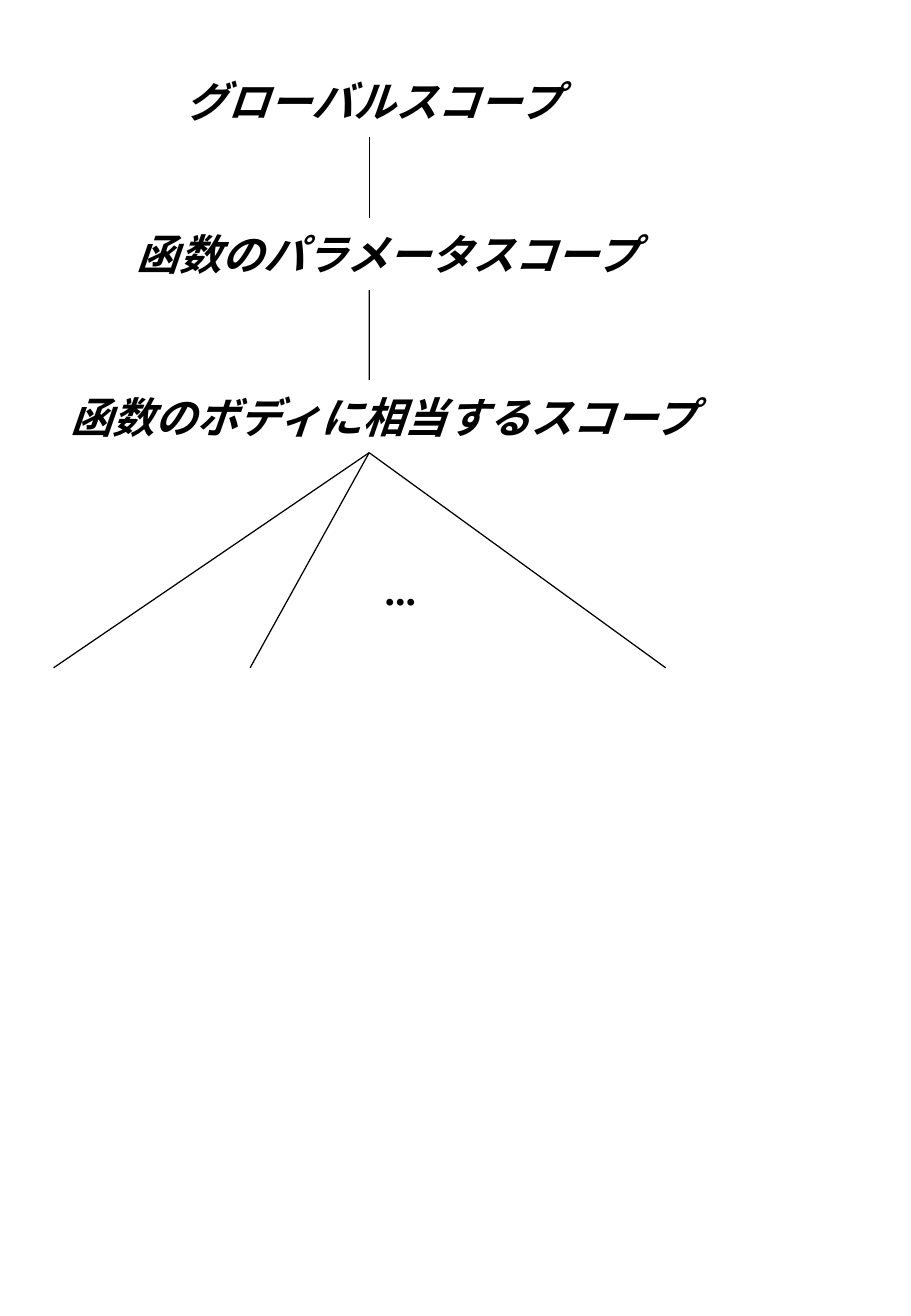
from pptx import Presentation
from pptx.dml.color import RGBColor
from pptx.enum.shapes import MSO_CONNECTOR, MSO_SHAPE
from pptx.enum.text import MSO_ANCHOR, PP_ALIGN
from pptx.util import Cm, Pt
from lxml.etree import SubElement
from pptx.oxml.ns import qn

COLORS = {"ink": "000000", "paper": "FFFFFF"}
AXIS = 7.72
BOX_HEIGHT = 1.52
BOTTOM, TOP = 2, 0
SCOPES = [
    ("グローバルスコープ", 1.35, 8.4),
    ("函数のパラメータスコープ", 4.55, 10.42),
    ("函数のボディに相当するスコープ", 7.95, 13.2),
]
BRANCH_ENDS = [1.12, 5.23, 13.92]
BRANCH_Y = 13.97


class ScopeDiagram:
    font = "Times New Roman"
    size = Pt(25)

    def __init__(self, slide):
        self.s = slide

    def color(self, name):
        return RGBColor.from_string(COLORS[name])

    def label(self, text, left, top, width):
        """Add a rounded box with bold italic text."""
        sp = self.s.shapes.add_shape(
            MSO_SHAPE.ROUNDED_RECTANGLE, Cm(left), Cm(top), Cm(width), Cm(BOX_HEIGHT))
        sp.shadow.inherit = False
        sp.fill.background()
        sp.line.color.rgb = self.color("paper")
        sp.line.width = Pt(0)
        tf = sp.text_frame
        tf.text = text
        tf.word_wrap = False
        tf.vertical_anchor = MSO_ANCHOR.MIDDLE
        tf.margin_left = tf.margin_right = Cm(0.28)
        tf.margin_top = tf.margin_bottom = Cm(0.13)
        p = tf.paragraphs[0]
        p.alignment = PP_ALIGN.LEFT
        font = p.runs[0].font
        font.name, font.size = self.font, self.size
        font.bold = font.italic = True
        font.color.rgb = self.color("ink")
        return sp

    def line_from(self, parent, x=0, y=0, child=None):
        """Run a line from below parent to the top of child, or to a free point."""
        line = self.s.shapes.add_connector(
            MSO_CONNECTOR.STRAIGHT, Cm(AXIS), Cm(0), Cm(x), Cm(y))
        line.begin_connect(parent, BOTTOM)
        if child is not None:
            line.end_connect(child, TOP)
        line.line.color.rgb = self.color("ink")
        line.line.width = Pt(0.75)
        SubElement(line._element.spPr, qn("a:effectLst"))


def main():
    prs = Presentation()
    prs.slide_width, prs.slide_height = Cm(19.05), Cm(27.53)
    diagram = ScopeDiagram(prs.slides.add_slide(prs.slide_layouts[6]))

    scopes = [diagram.label(text, AXIS - width / 2, top, width)
              for text, top, width in SCOPES]
    for parent, child in zip(scopes, scopes[1:]):
        diagram.line_from(parent, child=child)
    for x in BRANCH_ENDS:
        diagram.line_from(scopes[-1], x, BRANCH_Y)
    diagram.label("...", AXIS, 11.56, 1.6)

    prs.save("out.pptx")


if __name__ == "__main__":
    main()
